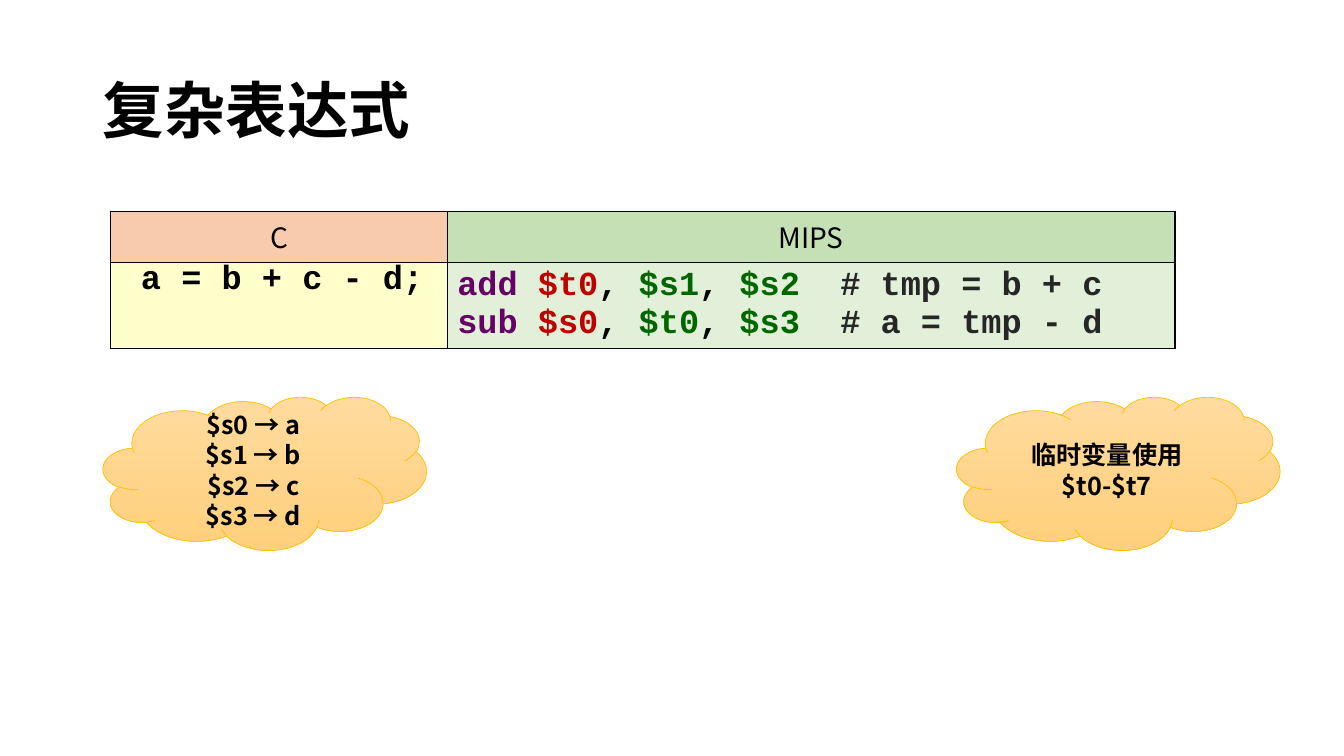
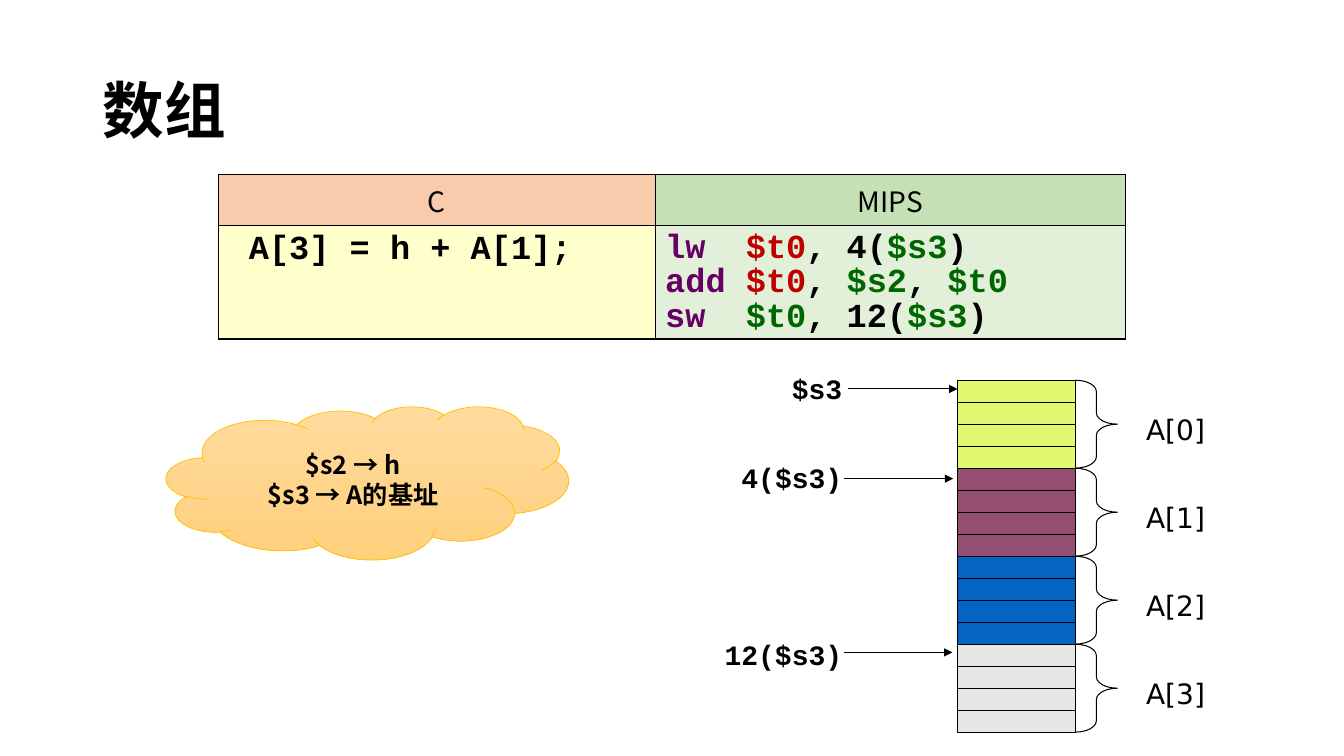
from dataclasses import dataclass

from lxml.etree import SubElement
from pptx import Presentation
from pptx.dml.color import RGBColor as RGB
from pptx.enum.shapes import MSO_CONNECTOR as LINK, MSO_SHAPE as SHAPE
from pptx.enum.text import MSO_ANCHOR as ANCHOR, MSO_AUTO_SIZE as FIT, PP_ALIGN as ALIGN
from pptx.oxml.ns import qn
from pptx.util import Cm, Pt


@dataclass(frozen=True)
class Style:
    font: str
    size: int
    bold: bool = False


@dataclass(frozen=True)
class Theme:
    title = Style("Noto Sans CJK SC", 44, True)
    head = Style("Noto Sans CJK SC", 20)
    code = Style("Courier New", 24, True)
    cloud = Style("Noto Sans CJK SC", 18, True)
    mark = Style("DejaVu Sans", 20)
    point = Style("Courier New", 20, True)
    ink = {"text": "000000", "op": "660066", "dest": "C00000",
           "src": "006600", "note": "262626"}
    heads = ("F8CBAD", "C5E0B4")
    cells = ("FFFFCC", "E2F0D9")
    sky = ("FFDB9E", "FFD07C")
    rim = "FFC000"
    blocks = ("E2F96F", "954F72", "0563C1", "E7E6E6")
    thin = 0.75
    edge = 1


T = Theme()
COMMA = ("text", ", ")
HEADS = ("C", "MIPS")

SLIDES = [
    {
        "title": "复杂表达式",
        "table": {
            "at": (2.79, 5.32), "cols": (8.48, 18.34), "rows": (1.29, 2.17),
            "code": (
                [" a = b + c - d;"],
                [
                    [("op", "add "), ("dest", "$t0"), COMMA, ("src", "$s1"), COMMA,
                     ("src", "$s2  "), ("note", "# tmp = b + c")],
                    [("op", "sub "), ("dest", "$s0"), COMMA, ("src", "$t0"), COMMA,
                     ("src", "$s3  "), ("note", "# a = tmp - d")],
                ],
            ),
            "pitch": (Pt(24), 1.0),
            "inset": (0.08, 0.13),
        },
        "clouds": [
            ((24.11, 10, 8.15, 3.86), ["临时变量使用$t0-$t7"]),
            ((2.6, 10, 8.15, 3.86), ["$s0 → a", "$s1 → b", "$s2 → c", "$s3 → d"]),
        ],
    },
    {
        "title": "数组",
        "table": {
            "at": (5.51, 4.4), "cols": (11, 11.86), "rows": (1.29, 2.85),
            "code": (
                [" A[3] = h + A[1];"],
                [
                    [("op", "lw  "), ("dest", "$t0"), ("text", ", 4("),
                     ("src", "$s3"), ("text", ")")],
                    [("op", "add "), ("dest", "$t0"), COMMA, ("src", "$s2"), COMMA,
                     ("src", "$t0")],
                    [("op", "sw  "), ("src", "$t0"), ("text", ", 12("),
                     ("src", "$s3"), ("text", ")")],
                ],
            ),
            "pitch": (1.0, 0.9),
            "inset": (0.13, 0.13),
        },
        "clouds": [((4.19, 10.24, 10.14, 3.86), ["$s2 → h", "$s3 → A的基址"])],
        "stack": {
            "at": (24.13, 9.58, 2.97, 8.87),
            "marks": ("A[0]", "A[1]", "A[2]", "A[3]"),
            "points": [
                ("$s3", 9.24, 21.38, 24.13, 9.8),
                ("4($s3)", 11.48, 21.26, 24.02, 12.06),
                ("12($s3)", 15.94, 21.26, 24, 16.44),
            ],
        },
    },
]


def put(thing, **vals):
    for key, val in vals.items():
        setattr(thing, key, val)


def tint(fill, tone):
    fill.solid()
    fill.fore_color.rgb = RGB.from_string(tone)


def draw(line, tone, width):
    line.color.rgb = RGB.from_string(tone)
    line.width = Pt(width)


def write(frame, paras, style, align=ALIGN.CENTER, pitch=1.0):
    for num, runs in enumerate(paras):
        para = frame.add_paragraph() if num else frame.paragraphs[0]
        put(para, alignment=align, line_spacing=pitch, space_before=Pt(0))
        for tone, text in [("text", runs)] if isinstance(runs, str) else runs:
            run = para.add_run()
            run.text = text
            put(run.font, name=style.font, size=Pt(style.size), bold=style.bold)
            run.font.color.rgb = RGB.from_string(T.ink[tone])
            SubElement(run._r.get_or_add_rPr(), qn("a:ea"), typeface=style.font)


def add_title(slide, text):
    title = slide.shapes.title
    put(title, left=Cm(2.33), top=Cm(1.02), width=Cm(29.21), height=Cm(3.68))
    frame = title.text_frame
    put(frame, vertical_anchor=ANCHOR.MIDDLE, auto_size=FIT.NONE)
    write(frame, [text], T.title, ALIGN.LEFT, 0.9)


def add_shape(slide, kind, box):
    shape = slide.shapes.add_shape(kind, *map(Cm, box))
    shape.shadow.inherit = False
    return shape


def add_lined(slide, kind, box):
    shape = add_shape(slide, kind, box)
    shape.fill.background()
    draw(shape.line, T.ink["text"], T.thin)
    return shape


def add_text(slide, box, text, style, align):
    frame = slide.shapes.add_textbox(*map(Cm, box)).text_frame
    frame.word_wrap = False
    write(frame, [text], style, align)


def add_cloud(slide, box, lines):
    cloud = add_shape(slide, SHAPE.CLOUD, box)
    cloud.fill.gradient()
    cloud.fill.gradient_angle = 270
    for stop, tone in zip(cloud.fill.gradient_stops, T.sky):
        stop.color.rgb = RGB.from_string(tone)
    draw(cloud.line, T.rim, 0.5)
    frame = cloud.text_frame
    put(frame, word_wrap=True, vertical_anchor=ANCHOR.MIDDLE)
    write(frame, lines, T.cloud)


def frame_cell(cell):
    props = cell._tc.get_or_add_tcPr()
    for num, side in enumerate(("lnL", "lnR", "lnT", "lnB")):
        line = SubElement(props, qn("a:" + side), w=str(Pt(T.edge)))
        fill = SubElement(line, qn("a:solidFill"))
        SubElement(fill, qn("a:srgbClr"), val=T.ink["text"])
        props.insert(num, line)


def add_code(slide, spec):
    cols, rows = spec["cols"], spec["rows"]
    box = (*spec["at"], sum(cols), sum(rows))
    table = slide.shapes.add_table(2, 2, *map(Cm, box)).table
    put(table, first_row=False, horz_banding=False)
    for row, high in zip(table.rows, rows):
        row.height = Cm(high)
    for num, wide in enumerate(cols):
        table.columns[num].width = Cm(wide)
        head, body = table.cell(0, num), table.cell(1, num)
        body.margin_top = Cm(spec["inset"][num])
        write(head.text_frame, [HEADS[num]], T.head)
        write(body.text_frame, spec["code"][num], T.code, ALIGN.LEFT, spec["pitch"][num])
        for cell, tone in ((head, T.heads[num]), (body, T.cells[num])):
            tint(cell.fill, tone)
            frame_cell(cell)


def add_arrow(slide, start, end, y):
    arrow = slide.shapes.add_connector(LINK.STRAIGHT, *map(Cm, (start, y, end, y)))
    draw(arrow.line, T.ink["text"], T.thin)
    props = arrow._element.spPr
    SubElement(props.find(qn("a:ln")), qn("a:tailEnd"), type="triangle")
    SubElement(props, qn("a:effectLst"))


def add_stack(slide, spec):
    left, top, wide, high = spec["at"]
    step = high / len(T.blocks)
    slot = step / 4
    for num, (tone, mark) in enumerate(zip(T.blocks, spec["marks"])):
        y = top + num * step
        block = add_shape(slide, SHAPE.RECTANGLE, (left, y, wide, step))
        tint(block.fill, tone)
        block.line.fill.background()
        for part in range(4):
            add_lined(slide, SHAPE.RECTANGLE, (left, y + part * slot, wide, slot))
        brace = add_lined(slide, SHAPE.RIGHT_BRACE, (left + wide, y, 1.06, step))
        brace.adjustments[0] = 0.27
        add_text(slide, (28.57, y + 0.69, 2.11, 1.12), mark, T.mark, ALIGN.CENTER)
    for text, rise, start, end, y in spec["points"]:
        add_arrow(slide, start, end, y)
        add_text(slide, (17.88, rise, 3.6, 1.12), text, T.point, ALIGN.RIGHT)


def main():
    deck = Presentation()
    put(deck, slide_width=Cm(33.87), slide_height=Cm(19.05))
    for page in SLIDES:
        slide = deck.slides.add_slide(deck.slide_layouts[5])
        add_title(slide, page["title"])
        add_code(slide, page["table"])
        for box, lines in page["clouds"]:
            add_cloud(slide, box, lines)
        if "stack" in page:
            add_stack(slide, page["stack"])
    deck.save("out.pptx")


if __name__ == "__main__":
    main()
